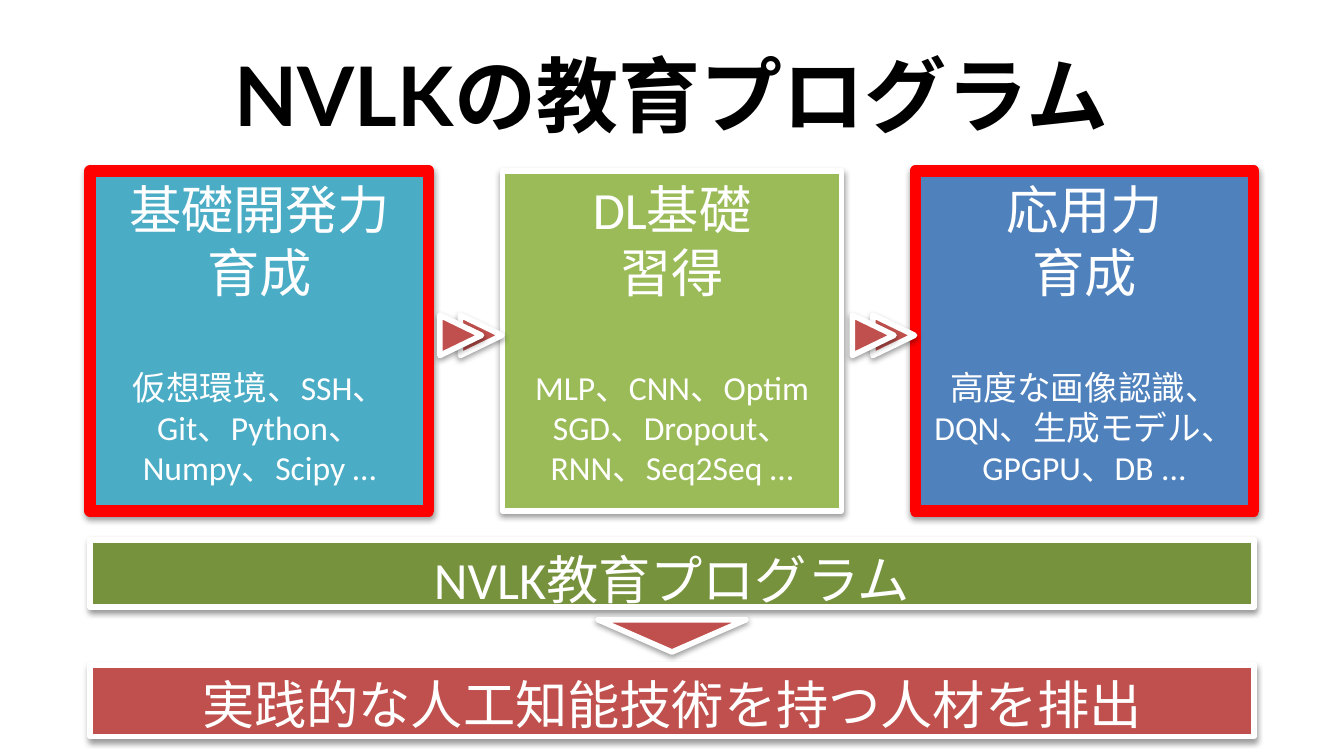
from dataclasses import dataclass

from lxml import etree
from pptx import Presentation
from pptx.dml.color import RGBColor
from pptx.enum import shapes, text
from pptx.oxml import ns
from pptx.util import Pt

WHITE, RED, BRICK = "FFFFFF", "FF0000", "C0504D"
LEFT, WIDTH = 48.25, 623.5
CARD_TOP, CARD_W, CARD_H = 91.6, 181.5, 182.2
GAP = (WIDTH - 3 * CARD_W) / 2
PITCH = CARD_W + GAP
ARROW_W, ARROW_H = 21.6, 22.3
RECT = shapes.MSO_SHAPE.RECTANGLE
TRIANGLE = shapes.MSO_SHAPE.ISOSCELES_TRIANGLE


@dataclass
class Line:
    text: str
    size: float = 28
    bold: bool = False
    font: str = "Calibri"
    color: str = WHITE
    before: float = 0


@dataclass
class Card:
    fill: str
    border: str
    border_width: float
    heading: list[str]
    topics: list[str]


@dataclass
class Bar:
    top: float
    height: float
    fill: str
    label: str


CARDS = [
    Card("4BACC6", RED, 6, ["基礎開発力", "育成"],
         ["仮想環境、SSH、", "Git、Python、", "Numpy、Scipy …"]),
    Card("9BBB59", WHITE, 3, ["DL基礎", "習得"],
         ["MLP、CNN、Optim", "SGD、Dropout、", "RNN、Seq2Seq …"]),
    Card("4F81BD", RED, 6, ["応用力", "育成"],
         ["高度な画像認識、", "DQN、生成モデル、", "GPGPU、DB ..."]),
]
BARS = [
    Bar(289.4, 36, "76923C", "NVLK教育プログラム"),
    Bar(356.4, 38.2, BRICK, "実践的な人工知能技術を持つ人材を排出"),
]


def rgb(value: str) -> RGBColor:
    return RGBColor.from_string(value)


def write(tf, lines: list[Line], anchor=text.MSO_ANCHOR.TOP) -> None:
    tf.word_wrap = True
    tf.vertical_anchor = anchor
    for i, line in enumerate(lines):
        p = tf.add_paragraph() if i else tf.paragraphs[0]
        p.alignment = text.PP_ALIGN.CENTER
        p.space_before = Pt(line.before)
        r = p.add_run()
        r.text = line.text
        formats = {"name": line.font, "size": Pt(line.size), "bold": line.bold}
        for name, value in formats.items():
            setattr(r.font, name, value)
        r.font.color.rgb = rgb(line.color)


def add_shadow(sp) -> None:
    sp.shadow.inherit = False
    effects = sp._element.spPr.find(ns.qn("a:effectLst"))
    shadow = etree.SubElement(
        effects, ns.qn("a:outerShdw"), blurRad=str(Pt(3.15)), dist=str(Pt(1.57)),
        dir="5400000", rotWithShape="0")
    color = etree.SubElement(shadow, ns.qn("a:srgbClr"), val="000000")
    etree.SubElement(color, ns.qn("a:alpha"), val="38000")


def add_block(s, kind, left: float, top: float, width: float, height: float,
              fill: str, border: str = WHITE, border_width: float = 3,
              rotation: float = 0):
    sp = s.shapes.add_shape(kind, Pt(left), Pt(top), Pt(width), Pt(height))
    sp.rotation = rotation
    sp.fill.solid()
    sp.fill.fore_color.rgb = rgb(fill)
    sp.line.color.rgb = rgb(border)
    sp.line.width = Pt(border_width)
    add_shadow(sp)
    return sp


def add_card(s, card: Card, left: float) -> None:
    sp = add_block(s, RECT, left, CARD_TOP, CARD_W, CARD_H,
                   card.fill, card.border, card.border_width)
    lines = [Line(t) for t in card.heading]
    lines += [Line(t, size=18) for t in card.topics]
    lines[len(card.heading)].before = 34
    write(sp.text_frame, lines)


def add_double_arrow(s, left: float) -> None:
    for offset in (17.25, 6.25):
        add_block(s, TRIANGLE, left + offset, 168.5, ARROW_W, ARROW_H,
                  BRICK, rotation=90)


def main() -> None:
    prs = Presentation()
    prs.slide_width, prs.slide_height = Pt(720), Pt(405)
    s = prs.slides.add_slide(prs.slide_layouts[6])

    title = s.shapes.add_textbox(Pt(36), Pt(16.5), Pt(648), Pt(67.5))
    write(title.text_frame,
          [Line("NVLKの教育プログラム", 44, True, "Lato", "000000")],
          text.MSO_ANCHOR.MIDDLE)

    for i, card in enumerate(CARDS):
        add_card(s, card, LEFT + i * PITCH)
    for i in range(len(CARDS) - 1):
        add_double_arrow(s, LEFT + i * PITCH + CARD_W)

    for bar in BARS:
        sp = add_block(s, RECT, LEFT, bar.top, WIDTH, bar.height, bar.fill)
        write(sp.text_frame, [Line(bar.label)])
    add_block(s, TRIANGLE, 320.4, 332, 79.2, 17.3, BRICK, rotation=180)

    prs.save("out.pptx")


if __name__ == "__main__":
    main()
